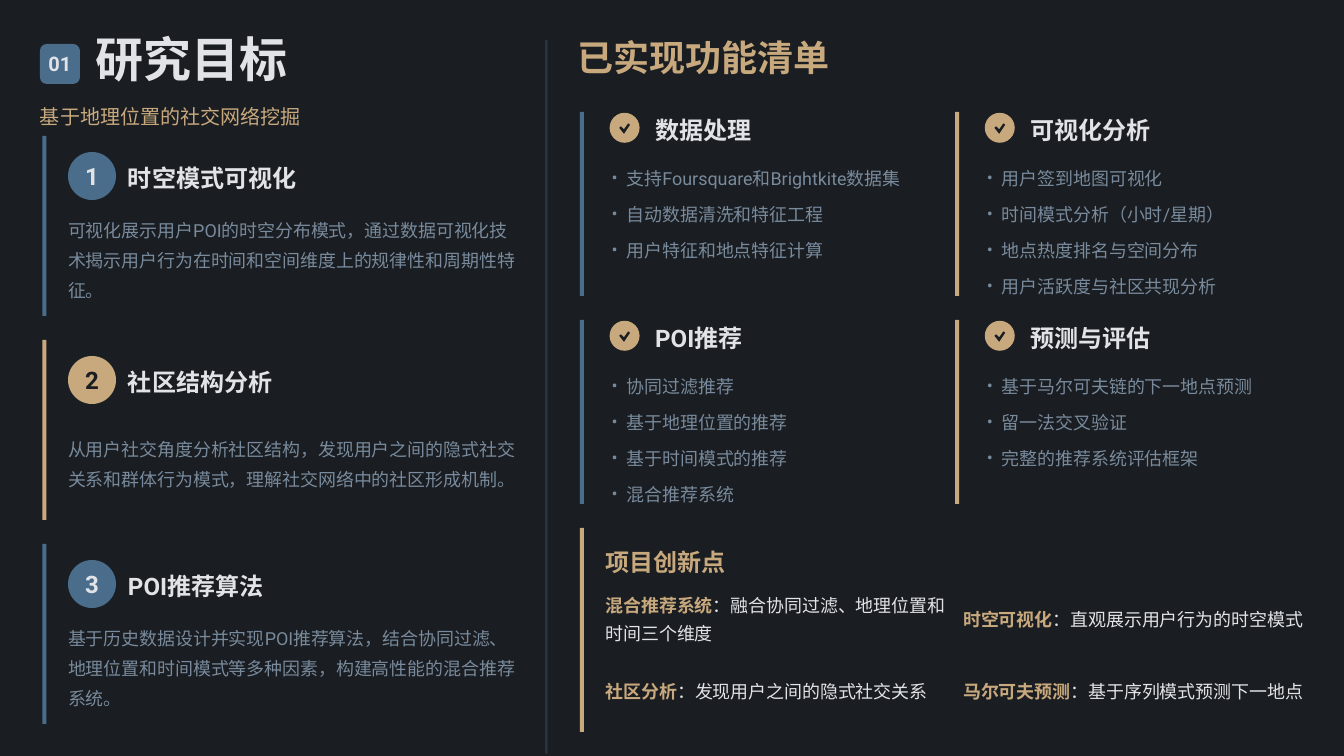
from dataclasses import dataclass

from lxml.etree import SubElement
from pptx import Presentation
from pptx.dml.color import RGBColor
from pptx.enum.lang import MSO_LANGUAGE_ID
from pptx.enum.shapes import MSO_SHAPE
from pptx.enum.text import MSO_ANCHOR, PP_ALIGN
from pptx.oxml.ns import qn
from pptx.slide import Slide
from pptx.util import Inches, Pt

BG = RGBColor(0x1A, 0x1D, 0x21)
BLUE = RGBColor(0x4A, 0x6D, 0x8C)
GOLD = RGBColor(0xC8, 0xA9, 0x7E)
LIGHT = RGBColor(0xE1, 0xE3, 0xE6)
MUTED = RGBColor(0x78, 0x8A, 0x9C)

WIDTH, HEIGHT = Inches(17.78), Inches(10)
COLS, ROWS = 336, 189
CHECK = [(0.68, 0.4), (0.48, 0.7), (0.32, 0.5), (0.38, 0.45), (0.48, 0.55), (0.62, 0.35)]

GOALS = [
    ("时空模式可视化", BLUE, LIGHT,
     "可视化展示用户POI的时空分布模式，通过数据可视化技术揭示用户行为在时间和空间维度上的规律性和周期性特征。"),
    ("社区结构分析", GOLD, BG,
     "从用户社交角度分析社区结构，发现用户之间的隐式社交关系和群体行为模式，理解社交网络中的社区形成机制。"),
    ("POI推荐算法", BLUE, LIGHT,
     "基于历史数据设计并实现POI推荐算法，结合协同过滤、地理位置和时间模式等多种因素，构建高性能的混合推荐系统。"),
]
FEATURES = [
    ("数据处理", ["支持Foursquare和Brightkite数据集", "自动数据清洗和特征工程", "用户特征和地点特征计算"]),
    ("可视化分析", ["用户签到地图可视化", "时间模式分析（小时/星期）", "地点热度排名与空间分布", "用户活跃度与社区共现分析"]),
    ("POI推荐", ["协同过滤推荐", "基于地理位置的推荐", "基于时间模式的推荐", "混合推荐系统"]),
    ("预测与评估", ["基于马尔可夫链的下一地点预测", "留一法交叉验证", "完整的推荐系统评估框架"]),
]
INNOVATIONS = [
    ("混合推荐系统", "：融合协同过滤、地理位置和时间三个维度"),
    ("时空可视化", "：直观展示用户行为的时空模式"),
    ("社区分析", "：发现用户之间的隐式社交关系"),
    ("马尔可夫预测", "：基于序列模式预测下一地点"),
]


def add_run(p, text, size=17.1, color=MUTED, bold=False, font="Roboto"):
    r = p.add_run()
    r.text = text
    r.font.size, r.font.bold, r.font.name = Pt(size), bold, font
    r.font.color.rgb = color
    r.font.language_id = MSO_LANGUAGE_ID.SIMPLIFIED_CHINESE
    SubElement(r.font._element, qn("a:ea"), typeface=font)


@dataclass
class Deck:
    s: Slide
    font: str = "Roboto"

    def box(self, col, row, cols, rows):
        cw, rh = WIDTH / COLS, HEIGHT / ROWS
        return [round(v) for v in (col * cw, row * rh, cols * cw, rows * rh)]

    def paint(self, sp, color):
        sp.fill.solid()
        sp.fill.fore_color.rgb = color
        sp.line.fill.background()
        sp.shadow.inherit = False
        return sp

    def frame(self, sp, anchor=MSO_ANCHOR.MIDDLE):
        tf = sp.text_frame
        tf.word_wrap, tf.vertical_anchor = True, anchor
        tf.margin_left = tf.margin_top = tf.margin_right = tf.margin_bottom = 0
        return tf

    def shape(self, kind, place, color):
        return self.paint(self.s.shapes.add_shape(kind, *self.box(*place)), color)

    def bar(self, place, color):
        return self.shape(MSO_SHAPE.RECTANGLE, place, color)

    def badge(self, kind, place, text, size, fill, color):
        p = self.frame(self.shape(kind, place, fill)).paragraphs[0]
        p.alignment = PP_ALIGN.CENTER
        add_run(p, text, size=size, color=color, bold=True, font=self.font)

    def text(self, place, runs, spacing):
        p = self.frame(self.s.shapes.add_textbox(*self.box(*place))).paragraphs[0]
        p.line_spacing = spacing
        for text, style in runs:
            add_run(p, text, font=self.font, **style)

    def heading(self, place, text, size=22.9, color=LIGHT, spacing=1.1):
        self.text(place, [(text, dict(size=size, color=color, bold=True))], spacing)

    def bullets(self, place, items):
        tf = self.frame(self.s.shapes.add_textbox(*self.box(*place)), MSO_ANCHOR.TOP)
        for i, item in enumerate(items):
            p = tf.add_paragraph() if i else tf.paragraphs[0]
            p.line_spacing = Pt(34.2)
            pPr = p._p.get_or_add_pPr()
            pPr.set("marL", str(Inches(0.28)))
            pPr.set("indent", str(-Inches(0.2)))
            SubElement(pPr, qn("a:buFont"), typeface=self.font)
            SubElement(pPr, qn("a:buChar"), char="•")
            add_run(p, item, font=self.font)

    def check(self, col, row, size):
        self.shape(MSO_SHAPE.OVAL, (col, row, size, size), GOLD)
        left, top, side, _ = self.box(col, row, size, size)
        points = [(round(left + x * side), round(top + y * side)) for x, y in CHECK]
        builder = self.s.shapes.build_freeform(*points[0])
        builder.add_line_segments(points[1:], close=True)
        self.paint(builder.convert_to_shape(), BG)


def main():
    prs = Presentation()
    prs.slide_width, prs.slide_height = WIDTH, HEIGHT
    s = prs.slides.add_slide(prs.slide_layouts[6])
    s.background.fill.solid()
    s.background.fill.fore_color.rgb = BG
    deck = Deck(s)

    divider = deck.bar((136.3, 10, 0.6, 178.4), BLUE)
    fill = divider._element.spPr.find(qn("a:solidFill"))
    SubElement(fill[0], qn("a:alpha"), val="30000")

    deck.badge(MSO_SHAPE.ROUNDED_RECTANGLE, (10, 11, 10, 10), "01", 19.1, BLUE, LIGHT)
    deck.heading((24, 10, 54, 12), "研究目标", size=45.7, spacing=0.8)
    deck.text((10, 25, 120.5, 7), [("基于地理位置的社交网络挖掘", dict(size=19.1, color=GOLD))], 1.2)

    for i, (title, fill, color, body) in enumerate(GOALS):
        row = 34 + 51 * i
        deck.bar((10.6, row, 1, 45), fill)
        deck.badge(MSO_SHAPE.OVAL, (17, row + 4, 12, 12), str(i + 1), 22.9, fill, color)
        deck.heading((32, row + 6, 60, 8), title)
        deck.text((17, row + 19, 113.2, 22), [(body, {})], 1.4)

    deck.heading((144.4, 10, 186, 10), "已实现功能清单", size=34.3, color=GOLD, spacing=0.9)

    for i, (title, items) in enumerate(FEATURES):
        col, row = 145 + 93.8 * (i % 2), 28 + 52 * (i // 2)
        deck.bar((col, row, 1, 46), (BLUE, GOLD)[i % 2])
        deck.check(col + 7.4, row + 0.2, 7.5)
        deck.heading((col + 18.8, row, 60, 8), title)
        deck.bullets((col + 6.4, row + 10.4, 83, 9 * len(items)), items)

    deck.bar((145, 132, 1, 51), GOLD)
    deck.heading((151.4, 136, 177.5, 8), "项目创新点", color=GOLD)
    for i, (name, detail) in enumerate(INNOVATIONS):
        place = (151.4 + 89.4 * (i % 2), 147 + 18 * (i // 2), 87.5, 14)
        deck.text(place, [(name, dict(color=GOLD, bold=True)), (detail, dict(color=LIGHT))], 1.3)

    prs.save("out.pptx")


if __name__ == "__main__":
    main()
